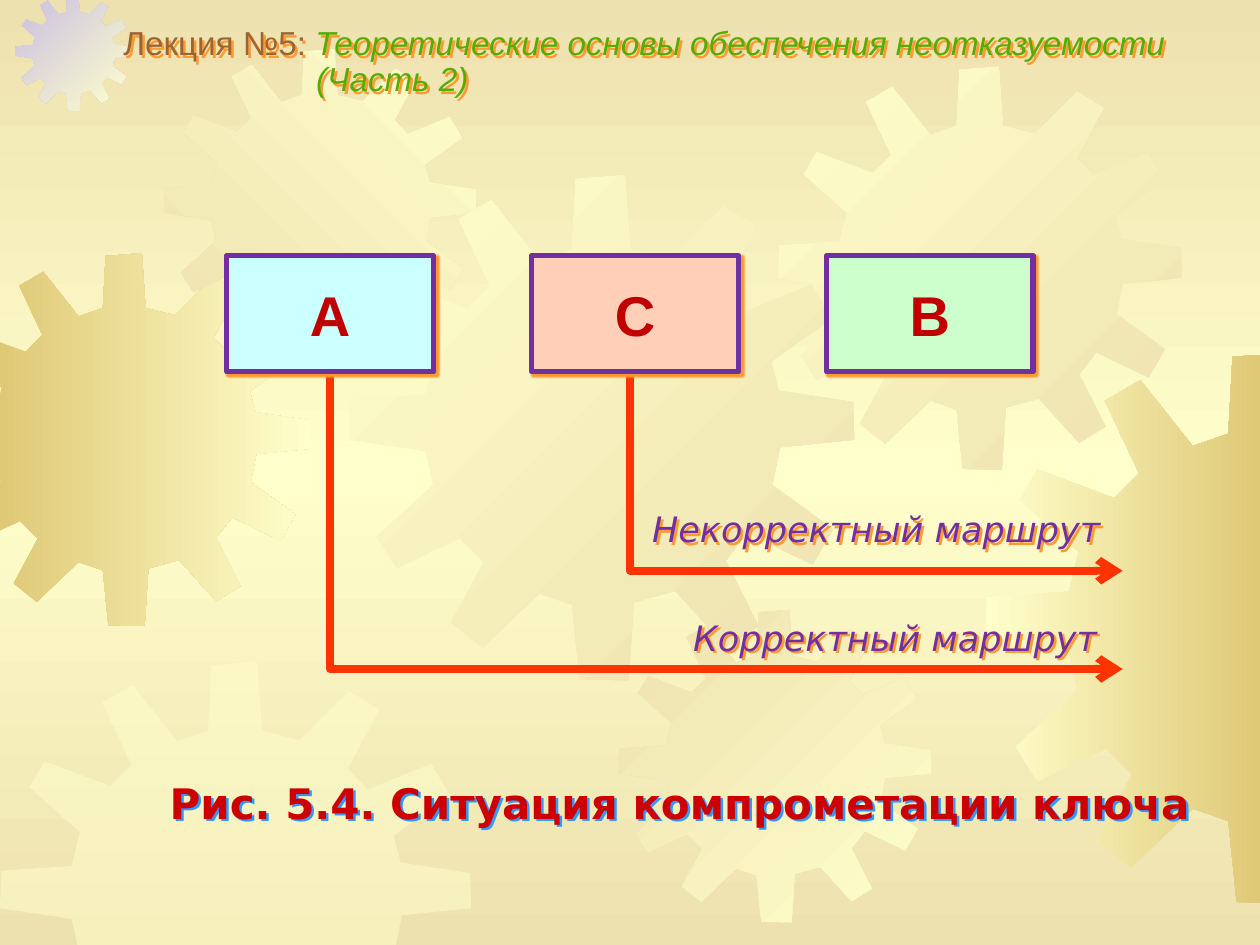
from copy import deepcopy

from lxml import etree
from pptx import Presentation
from pptx.dml.color import RGBColor
from pptx.enum.shapes import MSO_CONNECTOR, MSO_SHAPE
from pptx.enum.text import MSO_ANCHOR, PP_ALIGN
from pptx.oxml.ns import qn
from pptx.util import Emu, Inches, Pt

ELBOW, RECT = MSO_CONNECTOR.ELBOW, MSO_SHAPE.RECTANGLE
MIDDLE, TOP = MSO_ANCHOR.MIDDLE, MSO_ANCHOR.TOP
LEFT, CENTER = PP_ALIGN.LEFT, PP_ALIGN.CENTER

# The slide is a grid of 100 columns by 75 rows of square cells
COLUMNS, ROWS = 100, 75
CELL = Inches(0.1)

COLORS = {
    "sand": "EDE1AF", "cream": "FFFFCC", "gold": "DFC977", "lilac": "CAC0E2",
    "brown": "996633", "green": "56AC00", "caption": "CC0000", "blue": "3399FF",
    "orange": "FF9933", "purple": "7030A0", "route": "FF3300", "letter": "C00000",
    "node_a": "CCFFFF", "node_c": "FFCFB8", "node_b": "CCFFCC",
}

# Twelve-toothed wheel, drawn on a square of GEAR_SPAN units
GEAR_SPAN = 401
GEAR = [
    (255, 67), (223, 59), (219, 0), (180, 3), (177, 59), (151, 68), (113, 20), (87, 35),
    (112, 88), (94, 106), (38, 85), (25, 107), (68, 145), (61, 174), (1, 178), (0, 210),
    (61, 219), (67, 246), (22, 287), (38, 312), (88, 288), (107, 307), (81, 355), (106, 375),
    (151, 332), (177, 341), (183, 400), (222, 401), (226, 339), (259, 330), (299, 374), (325, 358),
    (299, 306), (316, 284), (368, 309), (384, 281), (336, 246), (342, 216), (401, 210), (400, 180),
    (341, 171), (335, 148), (383, 114), (367, 87), (313, 109), (296, 91), (323, 41), (297, 25),
]

# Left, top, size, first colour, last colour, clockwise angle
GEARS = [
    (-4.9, 20.1, 29.6, "gold", "cream", 0),
    (1.2, -0.4, 9.2, "lilac", "cream", 45),
    (13, 3.9, 24.8, "sand", "cream", 315),
    (27.7, 13.9, 40.1, "cream", "sand", 45),
    (0, 52.5, 37.4, "cream", None, 0),
    (49.1, 48.4, 24.8, "sand", "cream", 45),
    (61.8, 5.3, 32, "cream", "sand", 45),
    (78.2, 28, 43.7, "cream", "gold", 0),
]


def cells(*counts):
    return [Emu(round(count * CELL)) for count in counts]


def rgb(name):
    return RGBColor.from_string(COLORS[name])


def set_gradient(fill, first, last, angle):
    fill.gradient()
    fill.gradient_angle = -angle % 360
    for stop, name, position in zip(fill.gradient_stops, (first, last), (0, 1)):
        stop.color.rgb = rgb(name)
        stop.position = position


def add_shadow(shape, color, blur, distance):
    effects = etree.SubElement(shape.element.spPr, qn("a:effectLst"))
    shadow = etree.SubElement(
        effects, qn("a:outerShdw"), blurRad=str(Pt(blur)), dist=str(Pt(distance)),
        dir=str(45 * 60000), algn="tl", rotWithShape="0")
    etree.SubElement(shadow, qn("a:srgbClr"), val=COLORS[color])


def add_run(paragraph, text, size, font, color, bold=False, italic=False):
    run = paragraph.add_run()
    run.text = text
    run.font.size, run.font.name = Pt(size), font
    run.font.bold, run.font.italic = bold, italic
    run.font.color.rgb = rgb(color)


def set_frame(shape, anchor=MIDDLE, margins=(0, 0)):
    frame = shape.text_frame
    frame.word_wrap, frame.vertical_anchor = True, anchor
    frame.margin_left = frame.margin_right = Inches(margins[0])
    frame.margin_top = frame.margin_bottom = Inches(margins[1])
    return frame


def clip(points, axis, limit, side):
    """Cut a polygon at a limit; side 1 keeps what lies above it, -1 what lies below."""
    kept = []
    for start, end in zip(points, points[1:] + points[:1]):
        before, after = side * (start[axis] - limit), side * (end[axis] - limit)
        if before >= 0:
            kept.append(start)
        if before * after < 0:
            share = before / (before - after)
            kept.append(tuple(a + share * (b - a) for a, b in zip(start, end)))
    return kept


def draw_gear(slide, left, top, size, first, last, angle):
    scale = size / GEAR_SPAN
    points = [(left + x * scale, top + y * scale) for x, y in GEAR]
    for axis, limit, side in ((0, 0, 1), (0, COLUMNS, -1), (1, 0, 1), (1, ROWS, -1)):
        points = clip(points, axis, limit, side)
    outline = [cells(*point) for point in points]
    builder = slide.shapes.build_freeform(*outline[0])
    builder.add_line_segments(outline[1:], close=True)
    gear = builder.convert_to_shape()
    gear.shadow.inherit = False
    gear.line.fill.background()
    if last:
        set_gradient(gear.fill, first, last, angle)
    else:
        gear.fill.solid()
        gear.fill.fore_color.rgb = rgb(first)
        color = gear.element.spPr.find(".//" + qn("a:srgbClr"))
        etree.SubElement(color, qn("a:alpha"), val="50000")


def draw_background(slide):
    set_gradient(slide.background.fill, "sand", "cream", 90)
    stops = slide.element.find(".//" + qn("a:gsLst"))
    stops[1].set("pos", "50000")
    stops.append(deepcopy(stops[0]))
    stops[2].set("pos", "100000")
    for gear in GEARS:
        draw_gear(slide, *gear)


def draw_lecture_title(slide, box):
    title = slide.shapes.add_textbox(*cells(*box))
    add_shadow(title, "orange", 0, 2)
    frame = set_frame(title)
    lines = [
        (1.5, [("Лекция №5: ", "brown", False),
               ("Теоретические основы обеспечения неотказуемости", "green", True)]),
        (16.8, [("(Часть 2)", "green", True)]),
    ]
    for index, (indent, runs) in enumerate(lines):
        line = frame.add_paragraph() if index else frame.paragraphs[0]
        line.alignment, line.line_spacing = LEFT, 0.9
        line._p.get_or_add_pPr().set("marL", str(cells(indent)[0]))
        for text, color, italic in runs:
            add_run(line, text, 19, "Arial", color, italic=italic)


def draw_caption(slide, box, text, size, color, shadow, margins=(0, 0), anchor=MIDDLE, **style):
    caption = slide.shapes.add_textbox(*cells(*box))
    add_shadow(caption, shadow, 0, 2)
    line = set_frame(caption, anchor, margins).paragraphs[0]
    line.alignment = CENTER
    add_run(line, text, size, "DejaVu Sans", color, **style)


def draw_node(slide, box, letter, color):
    node = slide.shapes.add_shape(RECT, *cells(*box))
    node.fill.solid()
    node.fill.fore_color.rgb = rgb(color)
    node.line.color.rgb, node.line.width = rgb("purple"), Pt(3)
    add_shadow(node, "orange", 1, 2)
    line = set_frame(node).paragraphs[0]
    line.alignment = CENTER
    add_run(line, letter, 32, "Arial", "letter", bold=True)


def draw_route(slide, start, end, label, label_box):
    route = slide.shapes.add_connector(ELBOW, *cells(*start, *end))
    route.line.color.rgb, route.line.width = rgb("route"), Pt(4.5)
    # Turn at the start, so that the route runs down and then right
    guides = route.element.spPr.find(qn("a:prstGeom")).get_or_add_avLst()
    etree.SubElement(guides, qn("a:gd"), name="adj1", fmla="val 0")
    etree.SubElement(route.line._get_or_add_ln(), qn("a:tailEnd"), type="arrow")
    etree.SubElement(route.element.spPr, qn("a:effectLst"))
    draw_caption(slide, label_box, label, 20, "purple", "orange", (0.1, 0.05), TOP, italic=True)


def draw_scheme(slide, left, top):
    right, width, height = 89.1, 16.4, 9.2
    draw_route(slide, (left + width / 2, top + height), (right, 53.1),
               "Корректный маршрут", (53.1, 48.4, 35.9, 4.4))
    draw_route(slide, (50, top + height), (right, 45.3),
               "Некорректный маршрут", (50, 39.8, 39.1, 4.4))
    nodes = [(0, "А", "node_a"), (24.2, "С", "node_c"), (47.6, "В", "node_b")]
    for offset, letter, color in nodes:
        draw_node(slide, (left + offset, top, width, height), letter, color)


def main():
    deck = Presentation()
    deck.slide_width, deck.slide_height = cells(COLUMNS, ROWS)
    slide = deck.slides.add_slide(deck.slide_layouts[6])
    draw_background(slide)
    draw_caption(slide, (10.2, 61.7, 87.5, 4), "Рис. 5.4. Ситуация компрометации ключа",
                 24, "caption", "blue", bold=True)
    draw_lecture_title(slide, (8.3, 2.1, 91.7, 5.8))
    draw_scheme(slide, 18, 20.3)
    deck.save("out.pptx")


if __name__ == "__main__":
    main()
